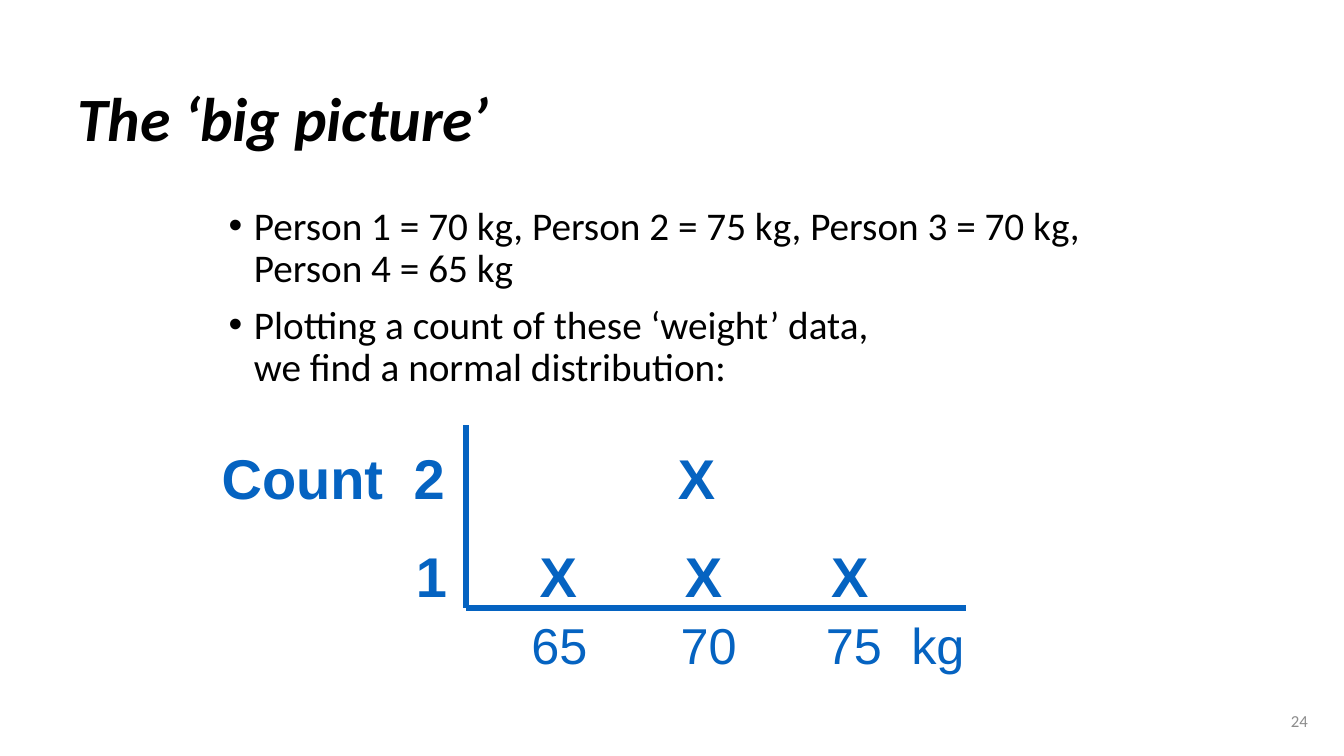
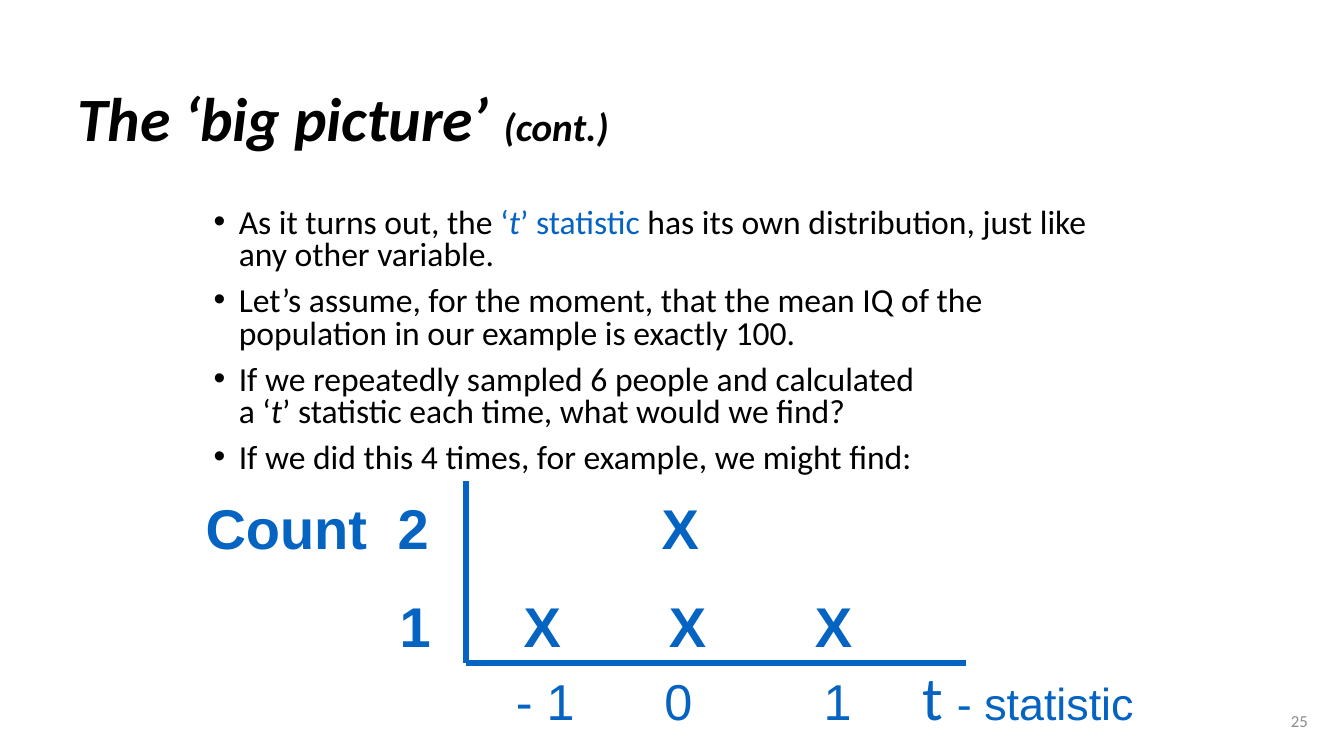
from pptx import Presentation
from pptx.dml.color import RGBColor
from pptx.enum.shapes import MSO_CONNECTOR as Connector
from pptx.enum.text import MSO_ANCHOR as Anchor, PP_ALIGN as Align
from pptx.oxml.ns import qn
from pptx.util import Inches, Pt
from lxml.etree import SubElement

BLACK, BLUE, GREY = "000000", "0563C1", "8C8C8C"


def rgb(hex_string):
    return RGBColor.from_string(hex_string)


class Deck:
    """Holds the shared style and the slide being built."""

    TITLE = dict(name="Calibri", size=Pt(44), bold=True, italic=True, color=BLACK)
    BODY = dict(name="Calibri", size=Pt(28), bold=False, italic=False, color=BLACK)
    NUMBER = dict(name="Calibri", size=Pt(12), color=GREY)
    MARK = dict(name="Arial", size=Pt(40), bold=True, color=BLUE)
    LABEL = MARK | dict(size=Pt(36), bold=False)

    # Tab stops of the two rows of marks, from the left edge of the text
    COUNT_ROWS = [
        ("Count\t2\tX", [2.06, 4.71]),
        ("\t1\tX\tX\tX", [2.08, 3.34, 4.78, 6.23]),
    ]
    AXIS_LEFT, AXIS_WIDTH, AXIS_HEIGHT = 4.62, 4.96, 1.81

    def __init__(self):
        self.prs = Presentation()
        self.prs.slide_width, self.prs.slide_height = Inches(13.33), Inches(7.5)
        self.slide = None

    def new_slide(self, number, title):
        self.slide = self.prs.slides.add_slide(self.prs.slide_layouts[6])
        number_frame = self.frame(12.13, 6.98, 0.94, 0.35, Anchor.MIDDLE)
        number_line = number_frame.paragraphs[0]
        number_line.alignment = Align.RIGHT
        self.runs(number_line, [(str(number), {})], self.NUMBER)
        title_line = self.frame(0.67, 0.58, 12, 1.25, Anchor.MIDDLE).paragraphs[0]
        title_line.line_spacing = 0.9
        self.runs(title_line, title, self.TITLE)

    def frame(self, left, top, width, height, anchor=Anchor.TOP):
        box = self.slide.shapes.add_textbox(*map(Inches, (left, top, width, height)))
        box.text_frame.word_wrap = True
        box.text_frame.vertical_anchor = anchor
        return box.text_frame

    def runs(self, paragraph, pieces, style):
        """Add (text, changes to the style) pieces; a newline breaks the line."""
        for text, changes in pieces:
            for index, part in enumerate(text.split("\n")):
                if index:
                    paragraph.add_line_break()
                run = paragraph.add_run()
                run.text = part
                for key, value in (style | changes).items():
                    if key == "color":
                        run.font.color.rgb = rgb(value)
                    else:
                        setattr(run.font, key, value)

    def paragraphs(self, frame, count):
        return [frame.paragraphs[0]] + [frame.add_paragraph() for _ in range(count - 1)]

    def bullets(self, position, items, size, line_spacing):
        frame = self.frame(*position)
        for index, (line, pieces) in enumerate(
                zip(self.paragraphs(frame, len(items)), items)):
            properties = line._p.get_or_add_pPr()
            properties.set("marL", str(Inches(0.25)))
            properties.set("indent", str(-Inches(0.25)))
            SubElement(properties, qn("a:buFont"), typeface="Arial")
            SubElement(properties, qn("a:buChar"), char="•")
            line.line_spacing = line_spacing
            line.space_before = Pt(10 if index else 0)
            self.runs(line, pieces, self.BODY | dict(size=Pt(size)))

    def tab_stops(self, paragraph, centred, left=()):
        tabs = SubElement(paragraph._p.get_or_add_pPr(), qn("a:tabLst"))
        for align, stops in (("ctr", centred), ("l", left)):
            for stop in stops:
                SubElement(tabs, qn("a:tab"), pos=str(Inches(stop)), algn=align)

    def axis(self, x1, y1, x2, y2):
        line = self.slide.shapes.add_connector(
            Connector.STRAIGHT, *map(Inches, (x1, y1, x2, y2)))
        line.line.color.rgb = rgb(BLUE)
        line.line.width = Pt(4.5)
        SubElement(line._element.spPr, qn("a:effectLst"))

    def count_plot(self, left, top, axis_top, labels, label_stops, unit_stop):
        # Counts, marks and the labels below them
        frame = self.frame(left, top, 9.5, 2.43)
        *mark_lines, label_line = self.paragraphs(frame, 3)
        for index, (line, (text, stops)) in enumerate(zip(mark_lines, self.COUNT_ROWS)):
            self.tab_stops(line, stops)
            line.space_before = Pt(22 if index else 0)
            self.runs(line, [(text, {})], self.MARK)
        self.tab_stops(label_line, label_stops, [unit_stop])
        self.runs(label_line, [("\t", {})], self.MARK)
        self.runs(label_line, labels, self.LABEL)
        # Axes
        x, base = self.AXIS_LEFT, axis_top + self.AXIS_HEIGHT
        self.axis(x, axis_top, x, base)
        self.axis(x + self.AXIS_WIDTH, base, x, base)


def main():
    deck = Deck()
    blue, italic = dict(color=BLUE), dict(italic=True)

    # Weights
    deck.new_slide(24, [("The ‘big picture’", {})])
    deck.bullets((2.17, 2, 8.91, 2.22), [
        [("Person 1 = 70 kg, Person 2 = 75 kg, Person 3 = 70 kg, Person 4 = 65 kg", {})],
        [("Plotting a count of these ‘weight’ data,\nwe find a normal distribution:", {})],
    ], size=28, line_spacing=0.9)
    deck.count_plot(2.1, 4.35, 4.22, [("65\t70\t75\tkg", {})],
                    [3.35, 4.83, 6.27], 6.84)

    # The t statistic
    deck.new_slide(25, [("The ‘big picture’ ", {}), ("(cont.)", dict(size=Pt(28)))])
    deck.bullets((2.02, 2.02, 9.37, 2.84), [
        [("As it turns out, the ", {}), ("‘", blue), ("t", blue | italic),
         ("’ statistic", blue),
         (" has its own distribution, just like any other variable.", {})],
        [("Let’s assume, for the moment, that the mean IQ of the population "
          "in our example is exactly 100.", {})],
        [("If we repeatedly sampled 6 people and calculated\na ‘", {}), ("t", italic),
         ("’ statistic each time, what would we find?", {})],
        [("If we did this 4 times, for example, we might find:", {})],
    ], size=24, line_spacing=0.8)
    deck.count_plot(1.94, 4.85, 4.77, [
        ("- 1\t0\t1\t", {}),
        ("t ", dict(name="Calibri", size=Pt(44))),
        ("- statistic", dict(size=Pt(32))),
    ], [3.37, 4.69, 6.27], 7.11)

    deck.prs.save("out.pptx")


if __name__ == "__main__":
    main()
